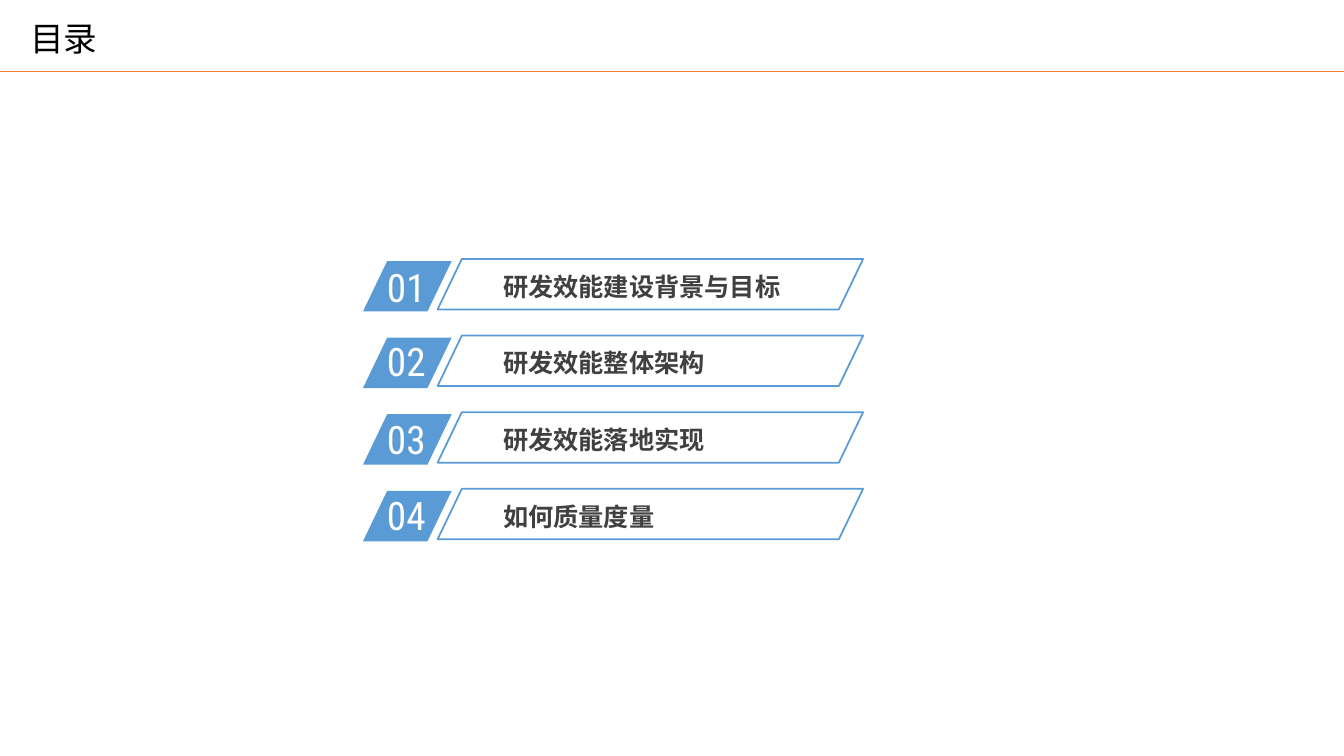
from dataclasses import dataclass

from lxml.etree import SubElement
from pptx import Presentation
from pptx.dml.color import RGBColor
from pptx.enum.shapes import MSO_CONNECTOR as Link, MSO_SHAPE as Shape
from pptx.enum.text import MSO_AUTO_SIZE as Fit, PP_ALIGN as Align
from pptx.oxml.ns import qn
from pptx.util import Pt

PX = 9144  # 100 px to the inch
WIDE, HIGH = 1333, 750
BLUE = RGBColor(0x5B, 0x9B, 0xD5)
ORANGE = RGBColor(0xED, 0x7D, 0x31)
GREY = RGBColor(0x40, 0x40, 0x40)
BLACK = RGBColor(0, 0, 0)
WHITE = RGBColor(255, 255, 255)
SANS, ROBOTO = "Noto Sans CJK SC", "Roboto Condensed"
TOP, STEP, BAR = 257, 76, 50


@dataclass
class Entry:
    title: str
    num_top: int


ENTRIES = [
    Entry("研发效能建设背景与目标", 256),
    Entry("研发效能整体架构", 330),
    Entry("研发效能落地实现", 407),
    Entry("如何质量度量", 482),
]


def add_text(slide, text: str, x: int, y: int, w: int, h: int, *,
             size: int, font: str, color: RGBColor, bold: bool = False,
             align: Align | None = None, inset: tuple[int, int] = (10, 5)) -> None:
    box = slide.shapes.add_textbox(x * PX, y * PX, w * PX, h * PX)
    frame = box.text_frame
    frame.word_wrap = True
    frame.auto_size = Fit.SHAPE_TO_FIT_TEXT
    frame.margin_left = frame.margin_right = inset[0] * PX
    frame.margin_top = frame.margin_bottom = inset[1] * PX
    para = frame.paragraphs[0]
    para.alignment = align
    run = para.add_run()
    run.text = text
    run.font.size = Pt(size)
    run.font.name = font
    run.font.bold = bold
    run.font.color.rgb = color
    SubElement(run.font._element, qn("a:ea"), typeface=font)


def add_slant(slide, x: int, y: int, w: int, *, solid: bool) -> None:
    """Draw a slanted bar, either filled or outlined in blue."""
    bar = slide.shapes.add_shape(Shape.PARALLELOGRAM, x * PX, y * PX, w * PX, BAR * PX)
    bar.adjustments[0] = 0.48
    bar.shadow.inherit = False
    if solid:
        bar.fill.solid()
        bar.fill.fore_color.rgb = BLUE
        bar.line.fill.background()
    else:
        bar.fill.background()
        bar.line.color.rgb = BLUE
        bar.line.width = Pt(1.25)


def add_rule(slide, y: int) -> None:
    rule = slide.shapes.add_connector(Link.STRAIGHT, 0, y * PX, WIDE * PX, y * PX)
    rule.line.color.rgb = ORANGE
    rule.line.width = Pt(0.5)
    SubElement(rule._element.spPr, qn("a:effectLst"))


def add_entry(slide, index: int, entry: Entry) -> None:
    top = TOP + index * STEP
    add_slant(slide, 360, top + 2, 88, solid=True)
    add_text(slide, f"{index + 1:02}", 374, entry.num_top, 84, 49,
             size=28, font=ROBOTO, color=WHITE)
    add_text(slide, entry.title, 492, top + 8, 309, 38,
             size=18, font=SANS, color=GREY, bold=True, inset=(7, 4))
    add_slant(slide, 434, top, 422, solid=False)


def main() -> None:
    deck = Presentation()
    deck.slide_width, deck.slide_height = WIDE * PX, HIGH * PX
    slide = deck.slides.add_slide(deck.slide_layouts[6])
    add_rule(slide, 71)
    add_text(slide, "目录", 20, 13, 647, 50,
             size=24, font=SANS, color=BLACK, align=Align.JUSTIFY)
    for index, entry in enumerate(ENTRIES):
        add_entry(slide, index, entry)
    deck.save("out.pptx")


if __name__ == "__main__":
    main()
